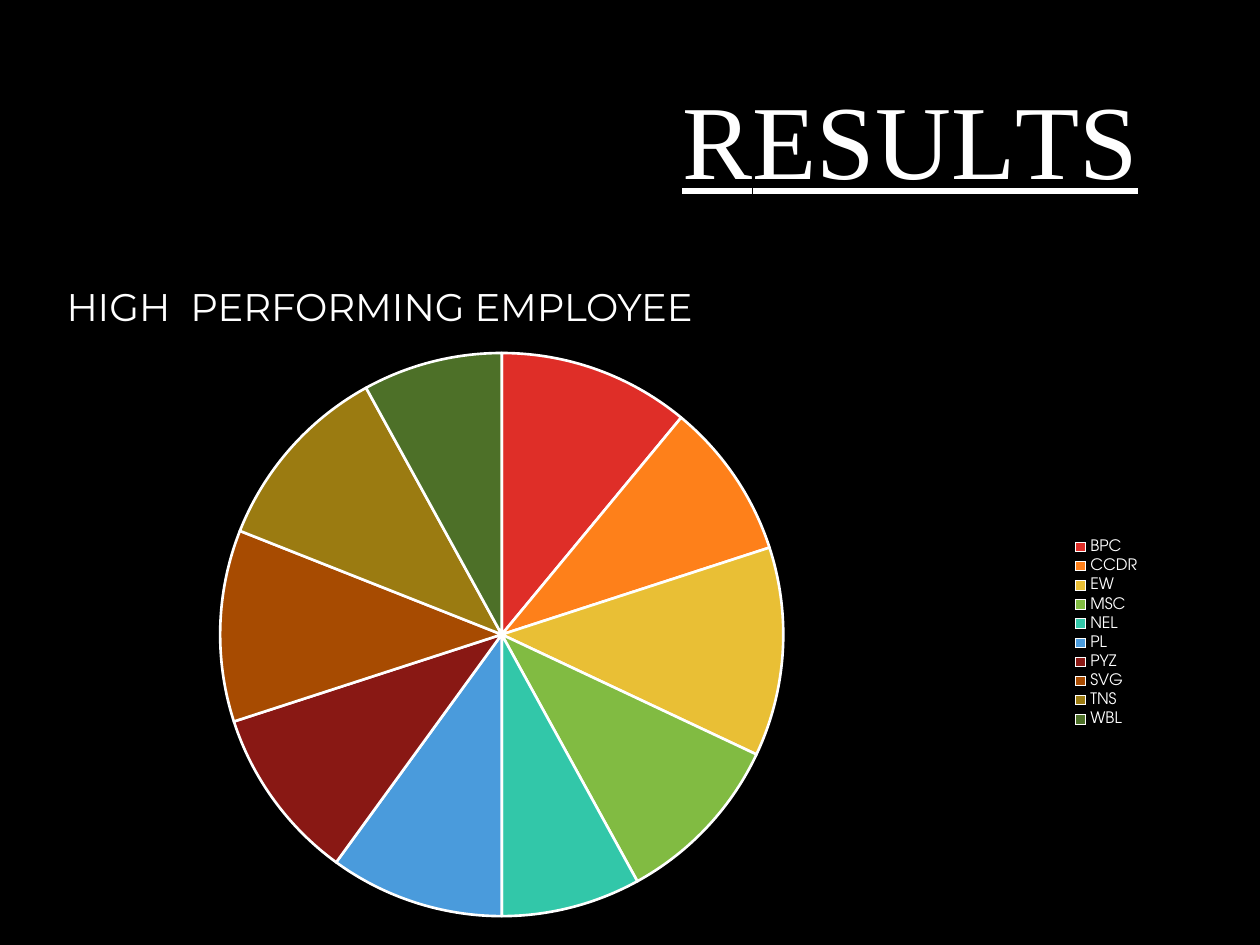
from dataclasses import dataclass

from lxml.etree import SubElement
from pptx import Presentation
from pptx.chart.data import CategoryChartData
from pptx.dml.color import RGBColor
from pptx.enum.chart import XL_CHART_TYPE, XL_LEGEND_POSITION
from pptx.enum.text import MSO_ANCHOR, MSO_AUTO_SIZE, PP_ALIGN
from pptx.oxml.ns import qn
from pptx.util import Inches, Pt


@dataclass(frozen=True)
class Theme:
    """Colours, fonts and type sizes of the slide."""
    back: RGBColor = RGBColor(0, 0, 0)
    ink: RGBColor = RGBColor(255, 255, 255)
    head: str = "Times New Roman"
    body: str = "Montserrat"
    label: str = "TeX Gyre Adventor"
    head_size: int = 60
    body_size: int = 22
    chart_size: int = 10
    key_size: int = 9


@dataclass(frozen=True)
class Box:
    """A place on the slide, in inches."""
    left: float
    top: float
    width: float
    height: float

    def lengths(self) -> list:
        """Return the four lengths."""
        return [Inches(n) for n in (self.left, self.top, self.width, self.height)]


@dataclass(frozen=True)
class Slice:
    """One slice of the pie."""
    name: str
    value: int
    color: str


@dataclass(frozen=True)
class Piece:
    """Letters of the title with their spacing in points."""
    text: str
    gap: float


THEME = Theme()
TITLE = Box(0.63, 0.28, 8.5, 1.75)
LEAD = Box(0.43, 2.24, 8.7, 0.83)
CHART = Box(-0.51, 2.66, 9.64, 4.74)
PIE = Box(1.75, 2.8, 4.47, 4.47)
KEY = Box(8.48, 4.25, 0.6, 1.56)
PIECES = [Piece("R", 0), Piece("E", -0.4), Piece("S", 0.1),
          Piece("U", -0.3), Piece("L", -4), Piece("TS", 0)]
SLICES = [
    Slice("BPC", 11, "DF2E28"), Slice("CCDR", 9, "FE801A"),
    Slice("EW", 12, "E9BF35"), Slice("MSC", 10, "81BB42"),
    Slice("NEL", 8, "32C7A9"), Slice("PL", 10, "4A9BDC"),
    Slice("PYZ", 10, "891814"), Slice("SVG", 11, "A74B01"),
    Slice("TNS", 11, "9B7B11"), Slice("WBL", 8, "4D7028"),
]


def style(font, name: str, size: int) -> None:
    """Give a font its face, size and the ink colour."""
    font.name, font.size = name, Pt(size)
    font.color.rgb = THEME.ink


def add_title(slide) -> None:
    """Fill and place the title."""
    shape = slide.shapes.title
    shape.left, shape.top, shape.width, shape.height = TITLE.lengths()
    frame = shape.text_frame
    frame.auto_size = MSO_AUTO_SIZE.NONE
    frame.vertical_anchor = MSO_ANCHOR.MIDDLE
    para = frame.paragraphs[0]
    para.alignment, para.line_spacing = PP_ALIGN.RIGHT, 0.9
    for piece in PIECES:
        run = para.add_run()
        run.text = piece.text
        style(run.font, THEME.head, THEME.head_size)
        run.font.underline = True
        run.font.bold = False
        run.font._element.set("spc", str(round(piece.gap * 100)))


def add_lead(slide) -> None:
    """Add the line above the pie."""
    frame = slide.shapes.add_textbox(*LEAD.lengths()).text_frame
    frame.word_wrap = True
    para = frame.paragraphs[0]
    para.text = "HIGH  PERFORMING EMPLOYEE"
    para.line_spacing, para.space_before = 0.9, Pt(10)
    style(para.runs[0].font, THEME.body, THEME.body_size)


def set_layout(part, box: Box, inner: bool = False) -> None:
    """Fix a chart part at a place on the slide."""
    layout = part.find(qn("c:layout"))
    if layout is None:
        layout = SubElement(part, qn("c:layout"))
        mark = part.find(qn("c:legendPos"))
        if mark is None:
            part.insert(0, layout)
        else:
            mark.addnext(layout)
    manual = SubElement(layout, qn("c:manualLayout"))
    rules = [("layoutTarget", "inner")] if inner else []
    rules += [("xMode", "edge"), ("yMode", "edge"),
              ("x", (box.left - CHART.left) / CHART.width),
              ("y", (box.top - CHART.top) / CHART.height),
              ("w", box.width / CHART.width),
              ("h", box.height / CHART.height)]
    for tag, value in rules:
        text = value if isinstance(value, str) else f"{value:.3f}"
        SubElement(manual, qn(f"c:{tag}")).set("val", text)


def add_pie(slide) -> None:
    """Add the pie chart and its legend."""
    data = CategoryChartData()
    data.categories = [item.name for item in SLICES]
    data.add_series("Series 1", [item.value for item in SLICES])
    chart = slide.shapes.add_chart(
        XL_CHART_TYPE.PIE, *CHART.lengths(), data).chart
    chart.has_title = False
    style(chart.font, THEME.label, THEME.chart_size)
    chart.has_legend = True
    key = chart.legend
    key.position = XL_LEGEND_POSITION.RIGHT
    key.include_in_layout = False
    style(key.font, THEME.label, THEME.key_size)
    plot = chart.plots[0]
    plot.vary_by_categories = True
    for index, item in enumerate(SLICES):
        form = plot.series[0].points[index].format
        form.fill.solid()
        form.fill.fore_color.rgb = RGBColor.from_string(item.color)
        form.line.color.rgb = THEME.ink
        form.line.width = Pt(1.5)
    set_layout(plot._element.getparent(), PIE, inner=True)
    set_layout(key._element, KEY)


def main() -> None:
    """Build the slide and save it."""
    deck = Presentation()
    deck.slide_width, deck.slide_height = Inches(10), Inches(7.5)
    slide = deck.slides.add_slide(deck.slide_layouts[5])
    fill = slide.background.fill
    fill.solid()
    fill.fore_color.rgb = THEME.back
    add_title(slide)
    add_lead(slide)
    add_pie(slide)
    deck.save("out.pptx")


if __name__ == "__main__":
    main()
